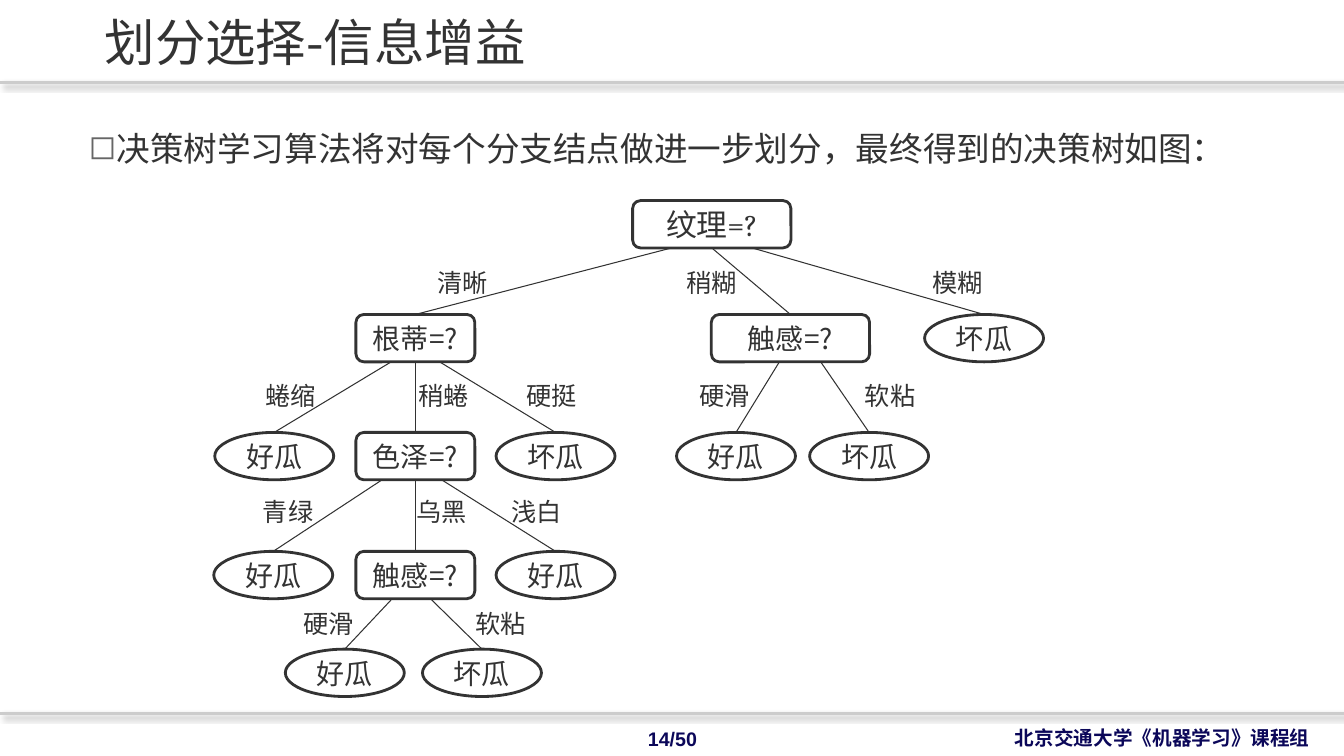
from lxml.etree import SubElement
from pptx import Presentation
from pptx.dml.color import RGBColor
from pptx.enum.shapes import MSO_CONNECTOR, MSO_SHAPE
from pptx.enum.text import MSO_ANCHOR, PP_ALIGN
from pptx.oxml.ns import qn
from pptx.util import Inches, Pt

TEXT = RGBColor(0x33, 0x33, 0x33)
BRANCH = RGBColor(0x32, 0x32, 0x32)
BULLET = RGBColor(0x66, 0x66, 0x66)
RULE = RGBColor(0xCC, 0xCC, 0xCC)
NAVY = RGBColor(0x0B, 0x07, 0x59)
WHITE = RGBColor(0xFF, 0xFF, 0xFF)
CJK_FONT = "Noto Sans CJK SC"

TITLE = "划分选择-信息增益"
STATEMENT = "决策树学习算法将对每个分支结点做进一步划分，最终得到的决策树如图："
COURSE = "北京交通大学《机器学习》课程组"
PAGE = "14/50"

SLIDE_WIDTH, SLIDE_HEIGHT = 13.33, 7.5
RULE_TOPS = (0.82, 7.08)
LEVEL_TOPS = (1.99, 3.12, 4.29, 5.47, 6.44)
LABEL_TOPS = (None, 2.6, 3.72, 4.87, 5.99)
NODE_WIDTH, WIDE_NODE_WIDTH, NODE_HEIGHT = 1.18, 1.57, 0.47
LABEL_WIDTH, LABEL_HEIGHT = 0.71, 0.4

# Node: text, centre x, branches
# Branch: label, label left, start offset from the parent's centre, child node
TEXTURE_TREE = ("纹理=?", 7.06, [
    ("清晰", 4.24, -0.4, ("根蒂=?", 4.12, [
        ("蜷缩", 2.53, -0.24, ("好瓜", 2.72, [])),
        ("稍蜷", 4.05, 0, ("色泽=?", 4.12, [
            ("青绿", 2.51, -0.33, ("好瓜", 2.71, [])),
            ("乌黑", 4.03, 0, ("触感=?", 4.12, [
                ("硬滑", 2.91, -0.23, ("好瓜", 3.42, [])),
                ("软粘", 4.62, 0.15, ("坏瓜", 4.78, [])),
            ])),
            ("浅白", 4.97, 0.26, ("好瓜", 5.51, [])),
        ])),
        ("硬挺", 5.12, 0.24, ("坏瓜", 5.51, [])),
    ])),
    ("稍糊", 6.71, 0, ("触感=?", 7.84, [
        ("硬滑", 6.84, -0.11, ("好瓜", 7.3, [])),
        ("软粘", 8.48, 0.3, ("坏瓜", 8.62, [])),
    ])),
    ("模糊", 9.15, 0.4, ("坏瓜", 9.76, [])),
])
WIDE_CENTRES = (7.06, 7.84)


def write(shape, text, size, color=TEXT, latin=CJK_FONT, bold=False,
          align=PP_ALIGN.LEFT, anchor=MSO_ANCHOR.TOP, wrap=True):
    frame = shape.text_frame
    frame.word_wrap = wrap
    frame.vertical_anchor = anchor
    paragraph = frame.paragraphs[0]
    paragraph.text = text
    paragraph.alignment = align
    font = paragraph.font
    font.size, font.bold, font.name = Pt(size), bold, latin
    font.color.rgb = color
    properties = paragraph._p.pPr.find(qn("a:defRPr"))
    SubElement(properties, qn("a:ea"), typeface=CJK_FONT)
    return paragraph


def add_text(slide, box, text, size, **style):
    shape = slide.shapes.add_textbox(*map(Inches, box))
    return write(shape, text, size, **style)


def add_line(slide, start, end, color, width):
    """Add a straight line and return it with its empty effect list."""
    line = slide.shapes.add_connector(
        MSO_CONNECTOR.STRAIGHT, *map(Inches, (*start, *end)))
    line.line.color.rgb = color
    line.line.width = Pt(width)
    return line, SubElement(line._element.spPr, qn("a:effectLst"))


def add_rule(slide, top):
    _, effects = add_line(slide, (0, top), (SLIDE_WIDTH, top), RULE, 2)
    shadow = SubElement(effects, qn("a:outerShdw"), blurRad=str(Pt(4)),
                        dist=str(Pt(3)), dir="2700000", algn="tl", rotWithShape="0")
    black = SubElement(shadow, qn("a:srgbClr"), val="000000")
    SubElement(black, qn("a:alpha"), val="40000")


def add_node(slide, text, centre, level, is_leaf):
    width = WIDE_NODE_WIDTH if centre in WIDE_CENTRES else NODE_WIDTH
    box = (centre - width / 2, LEVEL_TOPS[level], width, NODE_HEIGHT)
    outline = MSO_SHAPE.OVAL if is_leaf else MSO_SHAPE.ROUNDED_RECTANGLE
    node = slide.shapes.add_shape(outline, *map(Inches, box))
    node.shadow.inherit = False
    node.fill.solid()
    node.fill.fore_color.rgb = WHITE
    node.line.color.rgb = TEXT
    node.line.width = Pt(2)
    is_root = level == 0
    write(node, text, 22 if is_root else 20, latin="Cambria" if is_root else CJK_FONT,
          align=PP_ALIGN.CENTER, anchor=MSO_ANCHOR.MIDDLE, wrap=False)
    return node


def add_tree(slide, tree, level=0):
    """Draw a node, then its branches and subtrees, and return the node."""
    text, centre, branches = tree
    node = add_node(slide, text, centre, level, not branches)
    bottom = LEVEL_TOPS[level] + NODE_HEIGHT
    for label, label_left, offset, child in branches:
        child_node = add_tree(slide, child, level + 1)
        branch, _ = add_line(slide, (centre + offset, bottom),
                             (child[1], LEVEL_TOPS[level + 1]), BRANCH, 0.75)
        if offset == 0:
            branch.begin_connect(node, 2)
        # The top is site 0 on both rectangles and ovals.
        branch.end_connect(child_node, 0)
        label_box = (label_left, LABEL_TOPS[level + 1], LABEL_WIDTH, LABEL_HEIGHT)
        add_text(slide, label_box, label, 18, wrap=False)
    return node


def add_statement(slide):
    paragraph = add_text(slide, (0.78, 1.25, 12.55, 5.39), STATEMENT, 24)
    paragraph.line_spacing = 0.95
    properties = paragraph._p.pPr
    properties.set("marL", str(Inches(0.25)))
    properties.set("indent", str(-Inches(0.25)))
    defaults = properties.find(qn("a:defRPr"))
    color = SubElement(properties, qn("a:buClr"))
    SubElement(color, qn("a:srgbClr"), val=str(BULLET))
    SubElement(properties, qn("a:buChar"), char="◻")
    properties.append(defaults)


def main():
    presentation = Presentation()
    presentation.slide_width = Inches(SLIDE_WIDTH)
    presentation.slide_height = Inches(SLIDE_HEIGHT)
    slide = presentation.slides.add_slide(presentation.slide_layouts[6])

    for top in RULE_TOPS:
        add_rule(slide, top)
    title = add_text(slide, (0.94, 0.03, 8.62, 0.85), TITLE, 36,
                     anchor=MSO_ANCHOR.MIDDLE)
    title.line_spacing = 0.85
    add_statement(slide)
    add_tree(slide, TEXTURE_TREE)

    footer = dict(color=NAVY, latin="Arial", bold=True, anchor=MSO_ANCHOR.MIDDLE)
    add_text(slide, (6.05, 7.16, 1.24, 0.34), PAGE, 14, align=PP_ALIGN.CENTER, **footer)
    add_text(slide, (8.88, 7.15, 4.21, 0.34), COURSE, 14, align=PP_ALIGN.RIGHT, **footer)
    presentation.save("out.pptx")


if __name__ == "__main__":
    main()
